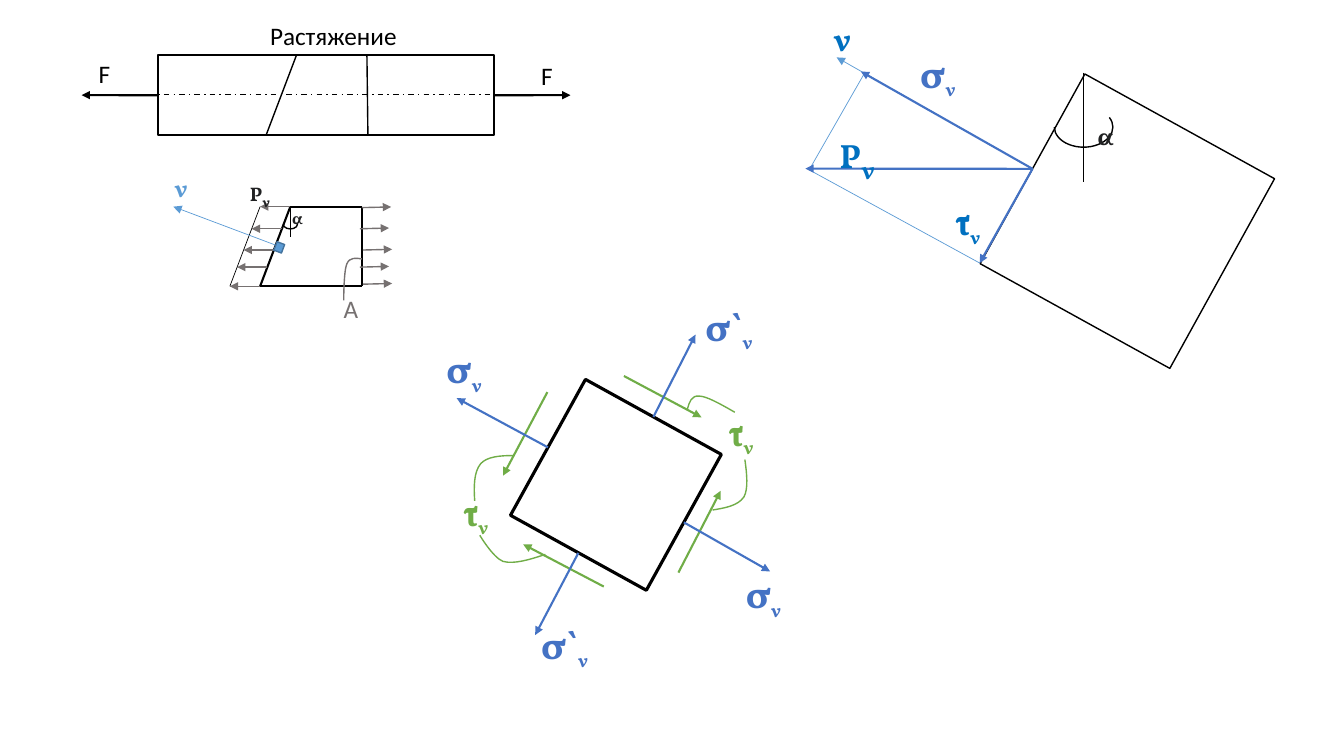
from dataclasses import dataclass
from math import cos, radians, sin
from typing import Optional

from lxml.etree import SubElement
from pptx import Presentation
from pptx.dml.color import RGBColor
from pptx.enum.dml import MSO_LINE
from pptx.enum.shapes import MSO_CONNECTOR, MSO_SHAPE
from pptx.enum.text import MSO_AUTO_SIZE
from pptx.oxml.ns import qn
from pptx.shapes.autoshape import Shape
from pptx.slide import Slide
from pptx.util import Pt

BLACK = RGBColor(0x00, 0x00, 0x00)
WHITE = RGBColor(0xFF, 0xFF, 0xFF)
GRAY = RGBColor(0x76, 0x71, 0x71)
INK = RGBColor(0x20, 0x21, 0x22)
BLUE = RGBColor(0x44, 0x72, 0xC4)
SKY = RGBColor(0x5B, 0x9B, 0xD5)
SKY_EDGE = RGBColor(0x43, 0x73, 0x9E)
AZURE = RGBColor(0x00, 0x70, 0xC0)
GREEN = RGBColor(0x70, 0xAD, 0x47)

TOP, LEFT, BOTTOM, RIGHT = range(4)
Point = tuple[float, float]


@dataclass(frozen=True)
class Block:
    left: float
    top: float
    width: float
    height: float
    weight: float
    angle: float = 0
    fill: RGBColor = WHITE
    edge: RGBColor = BLACK

    def side_middle(self, side: int) -> Point:
        dx, dy = {
            TOP: (0, -self.height / 2),
            LEFT: (-self.width / 2, 0),
            BOTTOM: (0, self.height / 2),
            RIGHT: (self.width / 2, 0),
        }[side]
        turn = radians(self.angle)
        return (
            self.left + self.width / 2 + dx * cos(turn) - dy * sin(turn),
            self.top + self.height / 2 + dx * sin(turn) + dy * cos(turn),
        )


@dataclass(frozen=True)
class Segment:
    start: Point
    end: Point
    color: RGBColor = BLACK
    weight: float = 1.5
    arrow: bool = False
    dashed: bool = False


@dataclass(frozen=True)
class Label:
    left: float
    top: float
    width: float
    height: float
    text: str
    size: float
    color: RGBColor = BLACK
    index_size: Optional[float] = None
    font: str = "Vollkorn"
    edge: Optional[RGBColor] = None


@dataclass(frozen=True)
class Curve:
    points: list[Point]
    color: RGBColor = GREEN


@dataclass(frozen=True)
class AngleMark:
    left: float
    top: float
    width: float
    height: float
    start_degrees: float


def draw_block(page: Slide, block: Block) -> Shape:
    shape = page.shapes.add_shape(
        MSO_SHAPE.RECTANGLE, Pt(block.left), Pt(block.top), Pt(block.width), Pt(block.height)
    )
    shape.rotation = block.angle
    shape.shadow.inherit = False
    shape.fill.solid()
    shape.fill.fore_color.rgb = block.fill
    shape.line.color.rgb = block.edge
    shape.line.width = Pt(block.weight)
    return shape


def draw_segment(page: Slide, segment: Segment, joined: Optional[Shape] = None, side: int = TOP) -> None:
    start_x, start_y, end_x, end_y = (Pt(value) for value in segment.start + segment.end)
    line = page.shapes.add_connector(MSO_CONNECTOR.STRAIGHT, start_x, start_y, end_x, end_y)
    line.line.color.rgb = segment.color
    line.line.width = Pt(segment.weight)
    if segment.dashed:
        line.line.dash_style = MSO_LINE.DASH_DOT
    properties = line._element.spPr
    if segment.arrow:
        SubElement(properties.find(qn("a:ln")), qn("a:tailEnd"), type="triangle")
    SubElement(properties, qn("a:effectLst"))
    if joined is not None:
        line.begin_connect(joined, side)
        line.begin_x, line.begin_y = start_x, start_y


def draw_label(page: Slide, label: Label) -> None:
    box = page.shapes.add_textbox(Pt(label.left), Pt(label.top), Pt(label.width), Pt(label.height))
    if label.edge is not None:
        box.line.color.rgb = label.edge
        box.line.width = Pt(0.75)
    frame = box.text_frame
    frame.word_wrap = False
    frame.auto_size = MSO_AUTO_SIZE.SHAPE_TO_FIT_TEXT
    para = frame.paragraphs[0]
    para.text = label.text
    if label.index_size is not None:
        para.add_run().text = "ν"
    for span, size in zip(para.runs, (label.size, label.index_size)):
        span.font.name = label.font
        span.font.size = Pt(size)
        span.font.bold = label.font == "Vollkorn"
        span.font.color.rgb = label.color
    if label.index_size is not None:
        para.runs[1].font._element.set("baseline", "-25000")


def draw_curve(page: Slide, curve: Curve) -> None:
    start, *controls = [(Pt(x), Pt(y)) for x, y in curve.points]
    builder = page.shapes.build_freeform(*start)
    builder.add_line_segments(controls, close=False)
    shape = builder.convert_to_shape()
    shape.shadow.inherit = False
    shape.fill.background()
    shape.line.color.rgb = curve.color
    shape.line.width = Pt(1)
    outline = next(shape._element.iter(qn("a:path")))
    steps = outline.findall(qn("a:lnTo"))
    for first in range(0, len(steps), 3):
        bend = SubElement(outline, qn("a:cubicBezTo"))
        for step in steps[first:first + 3]:
            bend.append(step[0])
            outline.remove(step)


def draw_angle_mark(page: Slide, mark: AngleMark) -> None:
    arc = page.shapes.add_shape(MSO_SHAPE.ARC, Pt(mark.left), Pt(mark.top), Pt(mark.width), Pt(mark.height))
    arc.adjustments[0] = mark.start_degrees * 0.6
    arc.rotation = 180
    arc.shadow.inherit = False
    arc.fill.background()
    arc.line.color.rgb = BLACK
    arc.line.width = Pt(1)


BAR = Block(113, 39.6, 239.8, 56.9, 1.5)
FACE_POINT = Block(196.6, 173.5, 5.8, 6.5, 1, 20.5, SKY, SKY_EDGE)
WEDGE = Block(727.9, 80.6, 154.8, 154.8, 1, 28.9)
ELEMENT = Block(384.5, 290.9, 110.9, 110.9, 2.25, 28.9)

CUT_TOP, CUT_BOTTOM, CUT_RIGHT = 147.6, 204.5, 258.5
CUT_SLOPE, PRESSURE = 0.38, 21.6
CORNERS = [(207.4, CUT_TOP), (CUT_RIGHT, CUT_TOP), (CUT_RIGHT, CUT_BOTTOM), (185.8, CUT_BOTTOM)]
FACE_LEVELS = [CUT_TOP, 163.4, 178.6, 190.8, CUT_BOTTOM]
RIGHT_STARTS = [(258.5, 148.3), (257, 163.4), (259.2, 178.6), (257, 190.8), (259.2, 203)]
FACE_STARTS = [(207.4 - CUT_SLOPE * (level - CUT_TOP), level) for level in FACE_LEVELS]

SEGMENTS = [
    Segment((73.4, 67.7), (403.9, 67.7), weight=1, dashed=True),
    Segment((262.1, 39.6), (262.8, 96.5), weight=1),
    Segment((211.7, 39.6), (190.1, 96.5), weight=1),
    *[Segment(start, end) for start, end in zip(CORNERS, CORNERS[1:] + CORNERS[:1])],
    *[Segment((x, y), (x - PRESSURE, y), GRAY, 1, True) for x, y in FACE_STARTS],
    *[Segment((x, y), (x + 20.9, y - 0.5), GRAY, 1, True) for x, y in RIGHT_STARTS],
    Segment((185.8, CUT_TOP), (164.2, CUT_BOTTOM), weight=0.5),
    Segment((196.6, 175), (123.8, 147.6), SKY, 0.5, True),
    Segment((207.4, CUT_TOP), (207.4, 169.2), weight=0.5),
    Segment((774, 51.8), (774, 130.3), weight=0.5),
    Segment((617.8, 51.8), (578.2, 121), SKY, 0.5),
    Segment((577.4, 121), (699.8, 187.9), SKY, 0.5),
    Segment((391, 280.1), (359.3, 339.8), GREEN, arrow=True),
    Segment((484.6, 409), (514.8, 350.6), GREEN, arrow=True),
    Segment((445.7, 268.6), (501.1, 298.1), GREEN, arrow=True),
    Segment((431.3, 419), (373.7, 388.8), GREEN, arrow=True),
]

SIDE_ARROWS = [
    (BAR, RIGHT, (407.5, 68), BLACK, 1.5),
    (BAR, LEFT, (58.3, 68), BLACK, 1.5),
    (WEDGE, LEFT, (597.6, 41), SKY, 0.5),
    (WEDGE, LEFT, (614.9, 51.1), BLUE, 1.5),
    (WEDGE, LEFT, (699.8, 187.9), BLUE, 1.5),
    (WEDGE, LEFT, (575.3, 120.5), BLUE, 1.5),
    (ELEMENT, LEFT, (326.2, 284.4), BLUE, 1.5),
    (ELEMENT, RIGHT, (550.1, 408.2), BLUE, 1.5),
    (ELEMENT, TOP, (496.8, 239), BLUE, 1.5),
    (ELEMENT, BOTTOM, (382.3, 453.6), BLUE, 1.5),
]

LABELS = [
    Label(63.4, 38.2, 23, 28.8, "F", 18, font="Calibri"),
    Label(379.4, 39.6, 23, 28.8, "F", 18, font="Calibri"),
    Label(185.8, 10.8, 105.8, 28.8, "Растяжение", 18, font="Calibri"),
    Label(201.6, 144.7, 23, 21.6, "α", 12, INK),
    Label(171.4, 122.4, 30.2, 24.5, "P", 14, INK, 18),
    Label(117.4, 119.5, 25.2, 28.8, "ν", 18, SKY),
    Label(776.9, 82.1, 26.6, 28.8, "α", 18, INK),
    Label(592.6, 85, 42.5, 36, "P", 24, AZURE, 32),
    Label(588.2, 9.4, 28.1, 36, "ν", 24, AZURE),
    Label(675.4, 136.8, 38.9, 41, "τ", 28, AZURE, 24),
    *[Label(x, y, 42.5, 41, "σ", 28, BLUE, 24) for x, y in [(650.2, 31.7), (311.8, 242.6), (525.6, 403.2)]],
    *[Label(x, y, 51.8, 41, "σ`", 28, BLUE, 24) for x, y in [(496.8, 212.4), (379.4, 439.2)]],
    *[Label(x, y, 38.9, 41, "τ", 28, GREEN, 24) for x, y in [(513.4, 287.3), (324, 344.2)]],
]
AREA_LABEL = Label(238.3, 205.9, 25.2, 28.8, "A", 18, GRAY, font="Calibri", edge=WHITE)

CURVES = [
    Curve([(258.5, 185), (254.2, 184.3), (249.8, 183.6), (247.7, 188.6),
           (245.5, 193.7), (245.5, 214.6), (245.5, 214.6)], GRAY),
    Curve([(509, 364.3), (517.7, 362.9), (527, 361.4), (531.4, 355),
           (534.6, 349.2), (533.5, 338.4), (532.1, 328.3)]),
    Curve([(366.5, 325.4), (357.1, 325.4), (347.8, 326.2), (343.4, 331.2),
           (338.4, 337), (338.4, 347.8), (339.1, 357.8)]),
    Curve([(524.9, 294.5), (514.8, 288.7), (504.7, 283), (499.7, 283),
           (493.9, 282.2), (492.5, 287.3), (491, 292.3)]),
    Curve([(389.5, 396), (378.7, 399.6), (367.2, 403.2), (359.3, 401),
           (352.1, 398.2), (342.7, 382.3), (342.7, 382.3)]),
]
ANGLE_MARKS = [AngleMark(202.3, 157, 10.1, 6.5, 163.83), AngleMark(753.1, 76.3, 41.8, 28.8, 159.58)]


def main() -> None:
    deck = Presentation()
    deck.slide_width, deck.slide_height = Pt(960), Pt(540)
    page = deck.slides.add_slide(deck.slide_layouts[6])
    draw_label(page, AREA_LABEL)
    shapes = {block: draw_block(page, block) for block in (BAR, WEDGE, ELEMENT)}
    for segment in SEGMENTS:
        draw_segment(page, segment)
    for block, side, end, color, weight in SIDE_ARROWS:
        draw_segment(page, Segment(block.side_middle(side), end, color, weight, True), shapes[block], side)
    draw_block(page, FACE_POINT)
    for mark in ANGLE_MARKS:
        draw_angle_mark(page, mark)
    for curve in CURVES:
        draw_curve(page, curve)
    for label in LABELS:
        draw_label(page, label)
    deck.save("out.pptx")


if __name__ == "__main__":
    main()
